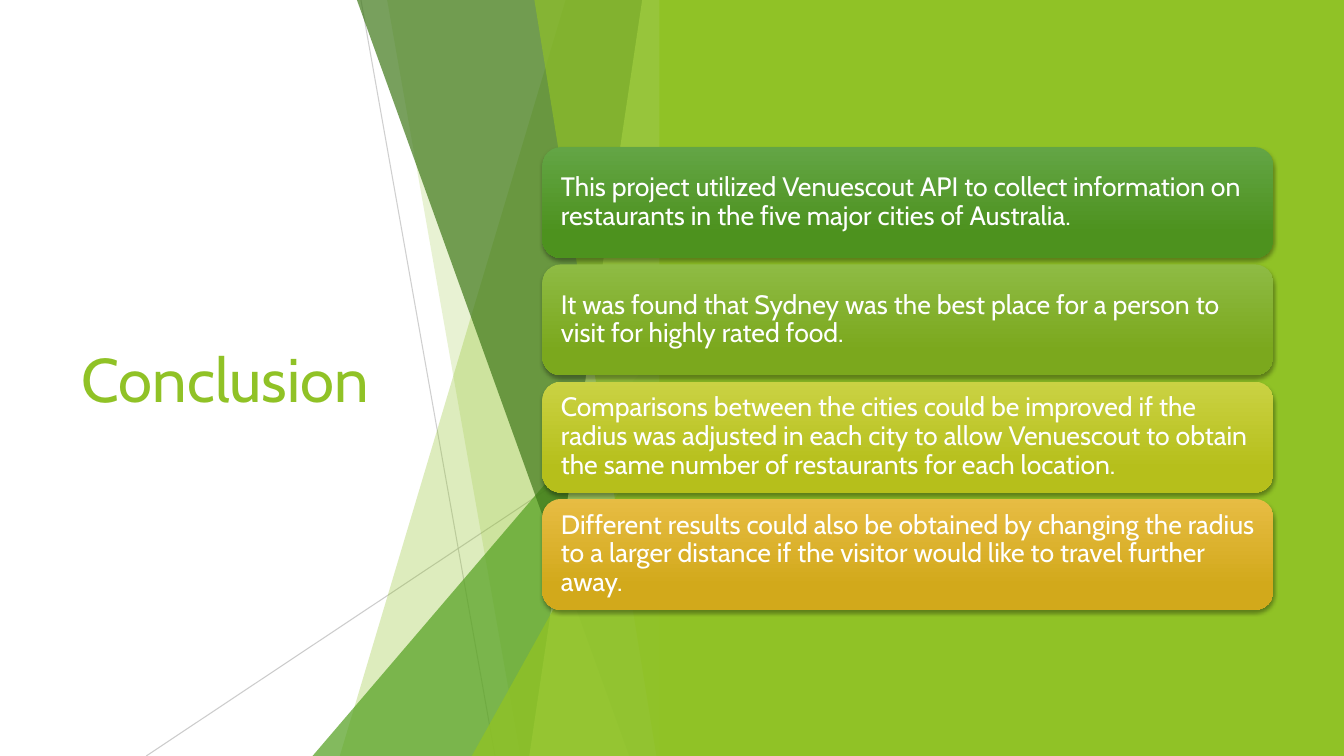
from lxml.etree import SubElement
from pptx import Presentation
from pptx.dml.color import RGBColor
from pptx.enum.shapes import MSO_CONNECTOR, MSO_SHAPE
from pptx.enum.text import MSO_ANCHOR, PP_ALIGN
from pptx.oxml.ns import qn
from pptx.util import Inches, Pt

FONT = "Cabin"
WHITE = RGBColor(0xFF, 0xFF, 0xFF)
GREY = RGBColor(0xBF, 0xBF, 0xBF)
LIME = RGBColor(0x90, 0xC2, 0x26)
GREEN = RGBColor(0x54, 0xA0, 0x21)
FOREST = RGBColor(0x3F, 0x78, 0x19)
PALE = RGBColor(0xC0, 0xE4, 0x74)

# Content: text, gradient top, gradient bottom
TITLE = "Conclusion"
CARDS = [
    ("This project utilized Venuescout API to collect information on restaurants "
     "in the five major cities of Australia.",
     RGBColor(0x63, 0xA5, 0x45), RGBColor(0x4D, 0x92, 0x1E)),
    ("It was found that Sydney was the best place for a person to visit for "
     "highly rated food.",
     RGBColor(0x8E, 0xBB, 0x44), RGBColor(0x7B, 0xA8, 0x1D)),
    ("Comparisons between the cities could be improved if the radius was adjusted "
     "in each city to allow Venuescout to obtain the same number of restaurants "
     "for each location.",
     RGBColor(0xCA, 0xD2, 0x43), RGBColor(0xB6, 0xBF, 0x1B)),
    ("Different results could also be obtained by changing the radius to a larger "
     "distance if the visitor would like to travel further away.",
     RGBColor(0xE7, 0xBC, 0x43), RGBColor(0xD2, 0xA9, 0x1B)),
]

# Layout in inches
SLIDE_W, SLIDE_H = 13.33, 7.5
FACET_RIGHT = SLIDE_W / 2
PANEL_LEFT = 6.54
CARD_LEFT, CARD_TOP, CARD_W, CARD_H = 5.38, 1.46, 7.25, 1.1
CARD_PITCH = (4.95 - CARD_TOP) / (len(CARDS) - 1)

# Facets, back to front. Shard: x at top, x at bottom. Triangle: left, top.
FACETS = [
    ("shard", 5.61, 3.37, LIME, 30),
    ("shard", 3.84, 5.16, LIME, 20),
    ("triangle", 3.1, 3.33, GREEN, 72),
    ("shard", 3.54, 6.24, FOREST, 70),
    ("shard", 6.37, 5.25, PALE, 70),
    ("shard", 5.3, 6.51, LIME, 65),
    ("triangle", 4.68, 3.93, LIME, 80),
]
# Thin lines: start x, start y, end x, end y, opacity
RAYS = [(3.58, 0, 4.91, SLIDE_H, 75), (FACET_RIGHT, 4.03, 1.45, SLIDE_H, 80)]


def set_opacity(sp, percent):
    color = next(sp._element.spPr.iter(qn("a:srgbClr")))
    SubElement(color, qn("a:alpha"), val=str(percent * 1000))


def paint(sp, color):
    sp.shadow.inherit = False
    sp.fill.solid()
    sp.fill.fore_color.rgb = color
    sp.line.fill.background()


def add_ray(shapes, x1, y1, x2, y2, opacity):
    ray = shapes.add_connector(MSO_CONNECTOR.STRAIGHT, *map(Inches, (x1, y1, x2, y2)))
    ray.line.color.rgb = GREY
    ray.line.width = Pt(0.75)
    set_opacity(ray, opacity)
    SubElement(ray._element.spPr, qn("a:effectLst"))


def add_facet(shapes, kind, a, b, color, opacity):
    if kind == "triangle":
        sp = shapes.add_shape(MSO_SHAPE.ISOSCELES_TRIANGLE, Inches(a), Inches(b),
                              Inches(FACET_RIGHT - a), Inches(SLIDE_H - b))
        sp.adjustments[0] = 1
    else:
        outline = shapes.build_freeform(Inches(a), 0)
        corners = [(FACET_RIGHT, 0), (FACET_RIGHT, SLIDE_H), (b, SLIDE_H)]
        outline.add_line_segments([(Inches(x), Inches(y)) for x, y in corners])
        sp = outline.convert_to_shape()
    paint(sp, color)
    set_opacity(sp, opacity)


def add_card(shapes, row, text, top_color, bottom_color):
    sp = shapes.add_shape(MSO_SHAPE.ROUNDED_RECTANGLE, Inches(CARD_LEFT),
                          Inches(CARD_TOP + row * CARD_PITCH),
                          Inches(CARD_W), Inches(CARD_H))
    sp.line.fill.background()
    sp.fill.gradient()
    sp.fill.gradient_angle = 270
    stops = zip(sp.fill.gradient_stops, (0, 0.78), (top_color, bottom_color))
    for stop, position, color in stops:
        stop.position = position
        stop.color.rgb = color

    # Soft shadow below the card
    sp.shadow.inherit = False
    effects = sp._element.spPr.find(qn("a:effectLst"))
    shadow = SubElement(effects, qn("a:outerShdw"), blurRad=str(Pt(3)),
                        dist=str(Pt(2)), dir="5400000", rotWithShape="0")
    black = SubElement(shadow, qn("a:srgbClr"), val="000000")
    SubElement(black, qn("a:alpha"), val="35000")

    tf = sp.text_frame
    tf.word_wrap = True
    tf.vertical_anchor = MSO_ANCHOR.MIDDLE
    tf.margin_left = tf.margin_right = Inches(0.13)
    tf.margin_top = tf.margin_bottom = Inches(0.13)
    p = tf.paragraphs[0]
    p.text = text
    p.alignment = PP_ALIGN.LEFT
    p.line_spacing = 0.9
    p.font.name, p.font.size, p.font.color.rgb = FONT, Pt(19), WHITE


def main():
    prs = Presentation()
    prs.slide_width, prs.slide_height = Inches(SLIDE_W), Inches(SLIDE_H)
    slide = prs.slides.add_slide(prs.slide_layouts[5])
    shapes = slide.shapes

    # Title
    title = shapes.title
    title.left, title.top = Inches(0.71), Inches(1.51)
    title.width, title.height = Inches(3.88), Inches(4.48)
    title.text_frame.vertical_anchor = MSO_ANCHOR.MIDDLE
    p = title.text_frame.paragraphs[0]
    p.text = TITLE
    p.alignment = PP_ALIGN.LEFT
    p.font.name, p.font.size, p.font.color.rgb = FONT, Pt(44), LIME

    # Faceted background and green panel
    for ray in RAYS:
        add_ray(shapes, *ray)
    for facet in FACETS:
        add_facet(shapes, *facet)
    panel = shapes.add_shape(MSO_SHAPE.RECTANGLE, Inches(PANEL_LEFT), 0,
                             Inches(SLIDE_W - PANEL_LEFT), Inches(SLIDE_H))
    paint(panel, LIME)

    # Conclusion cards
    for row, card in enumerate(CARDS):
        add_card(shapes, row, *card)

    prs.save("out.pptx")


if __name__ == "__main__":
    main()
